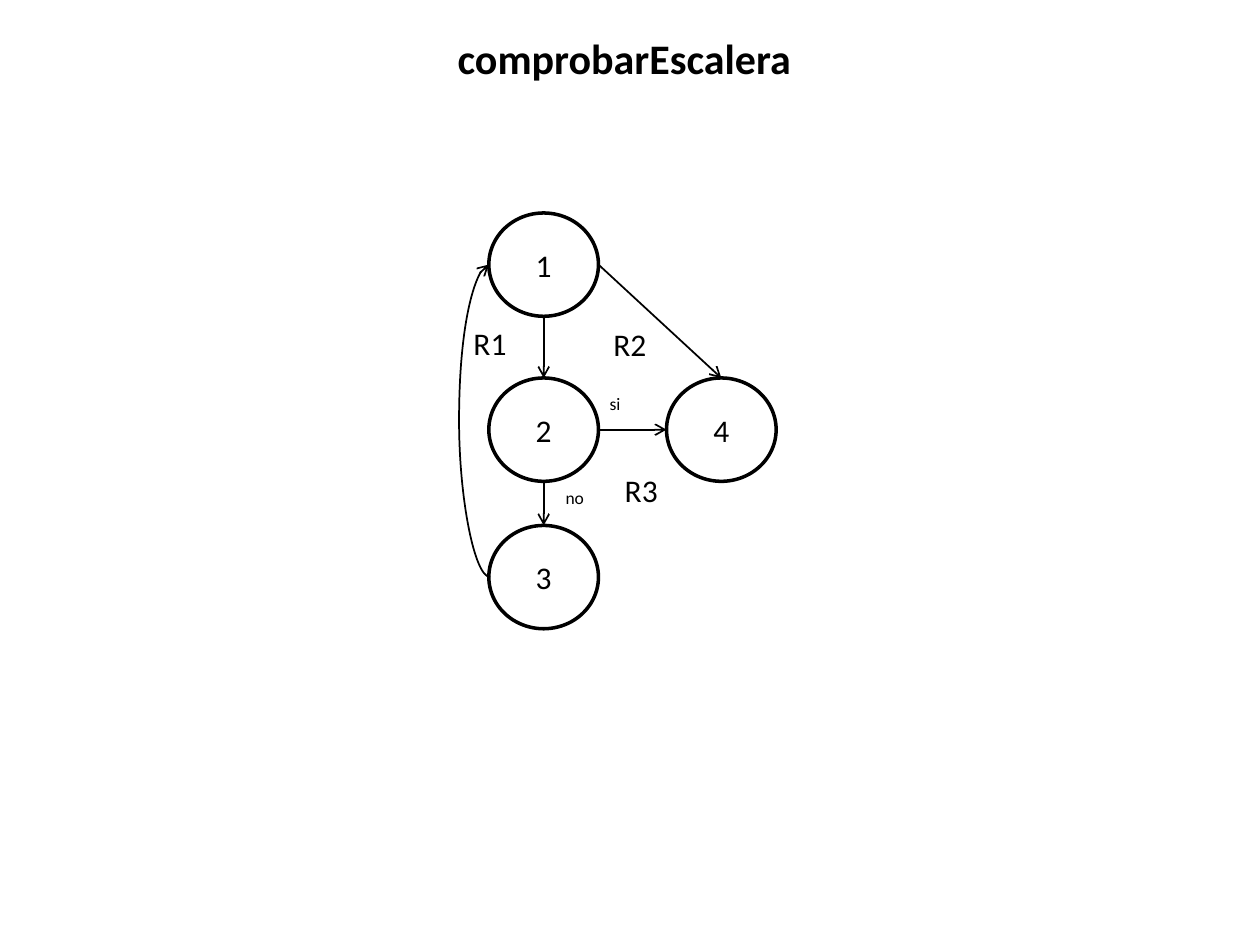
import pptx
import pptx.dml.color
import pptx.enum.shapes
import pptx.enum.text
import pptx.oxml
import pptx.oxml.ns
import pptx.util

COLORS = {"ink": "000000"}
FONT = "Calibri"
COLUMNS = [3.88, 5.29]
ROWS = [1.69, 3.0, 4.17]
NODE_WIDTH, NODE_HEIGHT = 0.87, 0.82
LOOP_LEFT = 3.64
NODES = {"1": (0, 0), "3": (0, 2), "4": (1, 1), "2": (0, 1)}
SIDES = {"top": (0.5, 0), "bottom": (0.5, 1), "left": (0, 0.5), "right": (1, 0.5)}
ARROWS = [
    ("1", "bottom", "2", "top"),
    ("2", "bottom", "3", "top"),
    ("2", "right", "4", "left"),
    ("1", "right", "4", "top"),
]
LABELS = [
    ("si", 4.74, 3.07, 0.29, 0.27, 10),
    ("no", 4.39, 3.82, 0.35, 0.27, 10),
    ("R1", 3.66, 2.52, 0.47, 0.4, 18),
    ("R2", 4.77, 2.53, 0.47, 0.4, 18),
    ("R3", 4.86, 3.69, 0.47, 0.4, 18),
]


def inches(*lengths):
    """Convert lengths in inches to slide units."""
    return [pptx.util.Inches(length) for length in lengths]


def ink():
    """Return the diagram's ink colour."""
    return pptx.dml.color.RGBColor.from_string(COLORS["ink"])


def apply_format(target, values):
    """Set each attribute named in a dict of format values."""
    for name, value in values.items():
        setattr(target, name, value)


def write_text(frame, text, size, align, bold=False, **frame_format):
    """Write one formatted paragraph in a text frame."""
    apply_format(frame, frame_format)
    paragraph = frame.paragraphs[0]
    paragraph.alignment = align
    run = paragraph.add_run()
    run.text = text
    apply_format(run.font, {"name": FONT, "size": pptx.util.Pt(size), "bold": bold})
    run.font.color.rgb = ink()


def draw_line(line, width):
    """Give a line the ink colour and a width in points."""
    line.color.rgb = ink()
    line.width = pptx.util.Pt(width)


def node_side(node, side):
    """Return the middle of one side of a node, in inches."""
    column, row = NODES[node]
    across, down = SIDES[side]
    return COLUMNS[column] + across * NODE_WIDTH, ROWS[row] + down * NODE_HEIGHT


def add_title(slide, text):
    """Place the heading in the title placeholder."""
    heading = slide.shapes.title
    places = inches(1.05, 0.21, 7.81, 0.5)
    apply_format(heading, dict(zip(("left", "top", "width", "height"), places)))
    write_text(heading.text_frame, text, 24, pptx.enum.text.PP_ALIGN.CENTER, True,
               vertical_anchor=pptx.enum.text.MSO_ANCHOR.TOP)


def add_node(slide, number, column, row):
    """Draw a numbered circle at a grid position."""
    node = slide.shapes.add_shape(
        pptx.enum.shapes.MSO_SHAPE.OVAL,
        *inches(COLUMNS[column], ROWS[row], NODE_WIDTH, NODE_HEIGHT))
    node.shadow.inherit = False
    node.fill.background()
    draw_line(node.line, 2)
    write_text(node.text_frame, number, 18, pptx.enum.text.PP_ALIGN.CENTER,
               vertical_anchor=pptx.enum.text.MSO_ANCHOR.MIDDLE)


def add_arrow(slide, start, end, kind=pptx.enum.shapes.MSO_CONNECTOR.STRAIGHT):
    """Draw an open-headed arrow between two points."""
    arrow = slide.shapes.add_connector(kind, *inches(*start, *end))
    draw_line(arrow.line, 1)
    outline = arrow.line._get_or_add_ln()
    pptx.oxml.ns.qn("a:tailEnd")
    outline.append(outline.makeelement(pptx.oxml.ns.qn("a:tailEnd"), {"type": "arrow"}))
    properties = arrow._element.spPr
    properties.append(properties.makeelement(pptx.oxml.ns.qn("a:effectLst"), {}))
    return arrow


def add_loop(slide, start_node, end_node):
    """Draw the curved arrow that returns along the left side."""
    x, y = node_side(start_node, "left")
    start = (x + 0.01, y)
    loop = add_arrow(slide, start, node_side(end_node, "left"),
                     pptx.enum.shapes.MSO_CONNECTOR.CURVE)
    bulge = round((start[0] - LOOP_LEFT) / 0.01 * 100000)
    guides = loop._element.spPr.find(pptx.oxml.ns.qn("a:prstGeom")).get_or_add_avLst()
    guides.append(guides.makeelement(
        pptx.oxml.ns.qn("a:gd"), {"name": "adj1", "fmla": f"val {bulge}"}))


def add_label(slide, text, left, top, width, height, size):
    """Place a short label beside an arrow."""
    label = slide.shapes.add_textbox(*inches(left, top, width, height))
    write_text(label.text_frame, text, size, pptx.enum.text.PP_ALIGN.LEFT,
               word_wrap=False,
               auto_size=pptx.enum.text.MSO_AUTO_SIZE.SHAPE_TO_FIT_TEXT)


def main():
    """Build the flow graph slide."""
    deck = pptx.Presentation()
    apply_format(deck, dict(zip(("slide_width", "slide_height"), inches(10, 7.5))))
    slide = deck.slides.add_slide(deck.slide_layouts[5])
    add_title(slide, "comprobarEscalera")
    for number, (column, row) in NODES.items():
        add_node(slide, number, column, row)
    for start, start_side, end, end_side in ARROWS:
        add_arrow(slide, node_side(start, start_side), node_side(end, end_side))
    add_loop(slide, "3", "1")
    for label in LABELS:
        add_label(slide, *label)
    deck.save("out.pptx")


if __name__ == "__main__":
    main()
